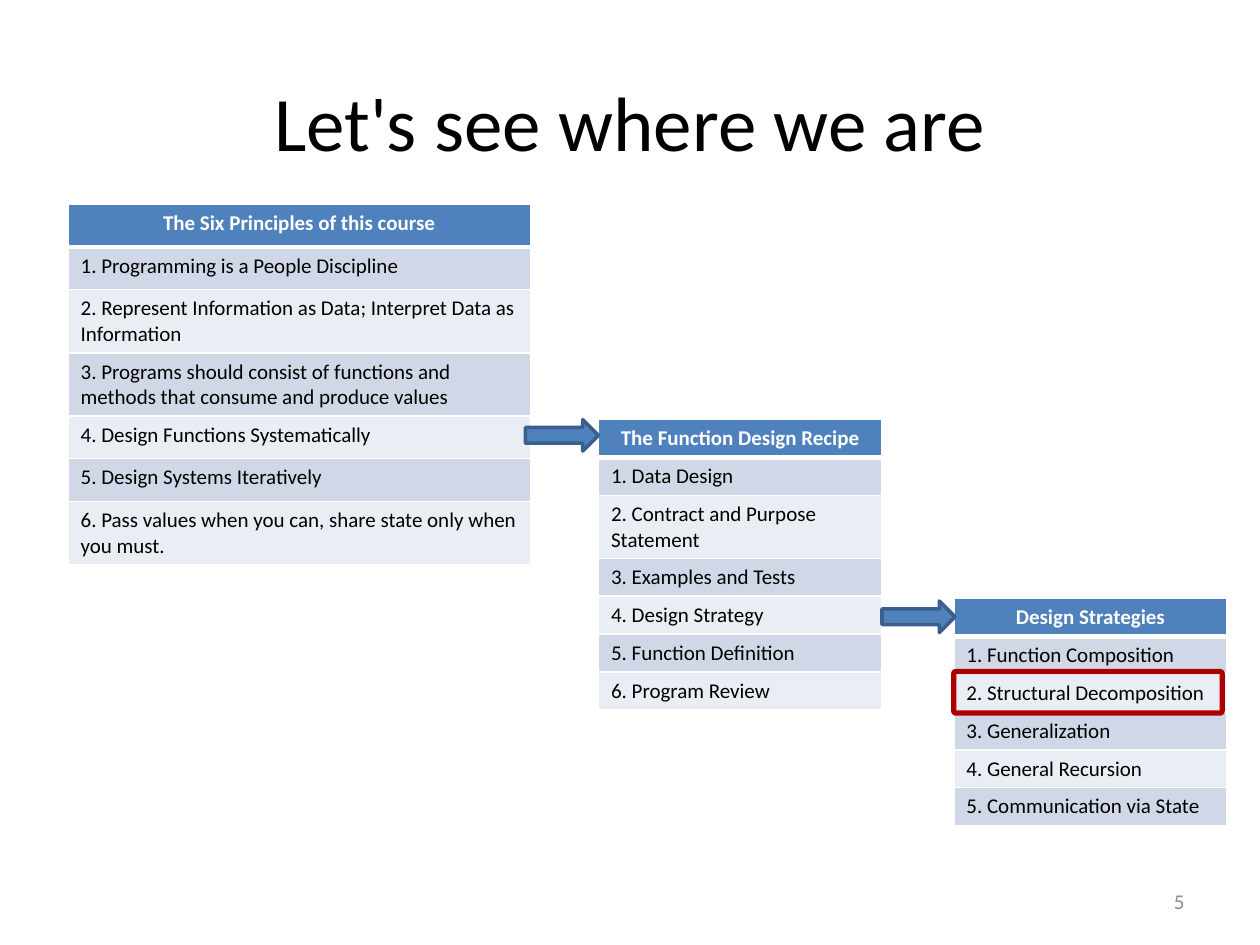
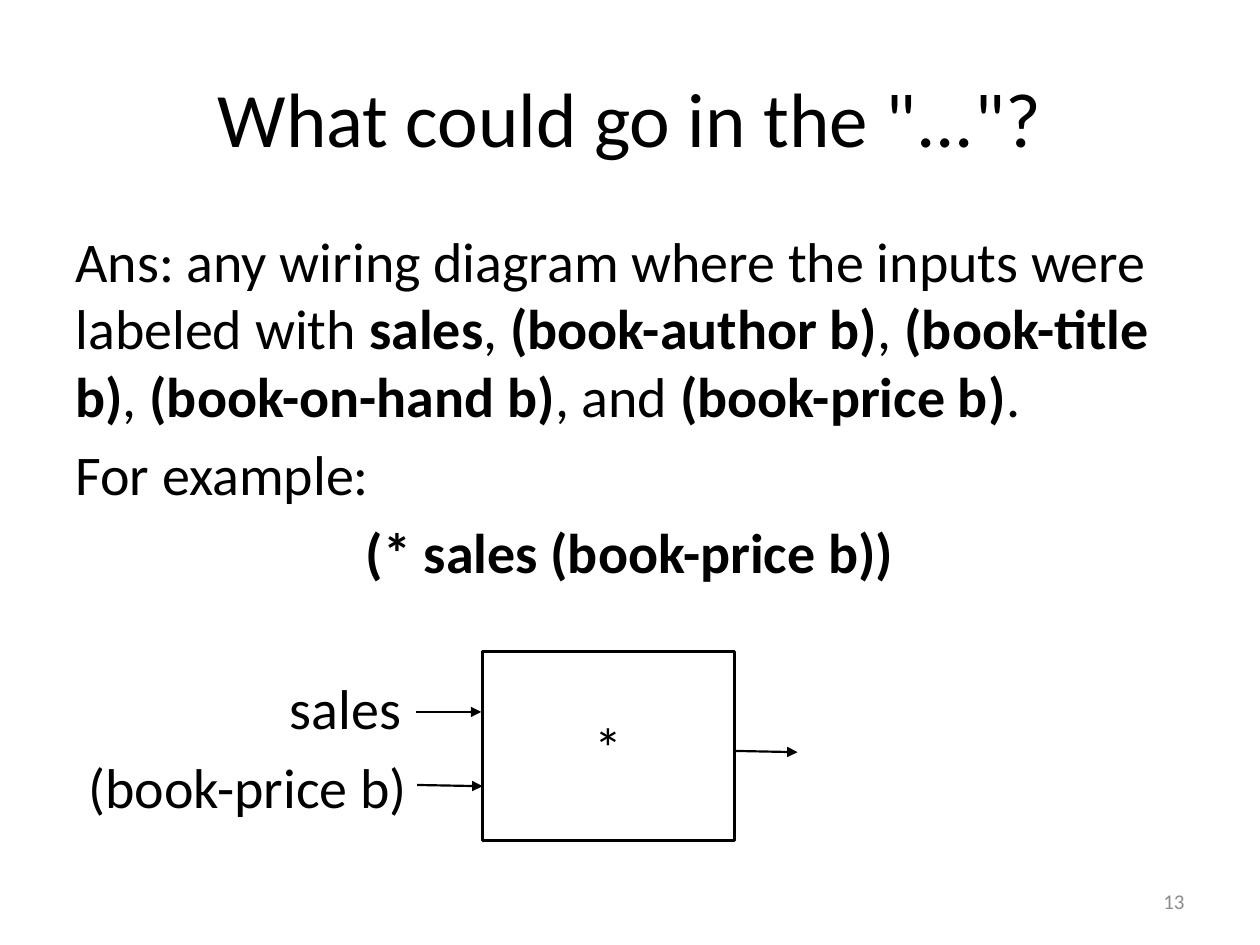
"""Build two course slides: a roadmap of linked tables and a wiring diagram."""
from dataclasses import dataclass

import pptx
import pptx.dml.color
import pptx.enum.shapes
import pptx.enum.text
import pptx.oxml
import pptx.oxml.ns
import pptx.util

Inches = pptx.util.Inches
Pt = pptx.util.Pt
Shape = pptx.enum.shapes.MSO_SHAPE
Align = pptx.enum.text.PP_ALIGN
Anchor = pptx.enum.text.MSO_ANCHOR


@dataclass(frozen=True)
class Theme:
    """Colours, font and type sizes shared by the slides."""
    font: str = "Calibri"
    ink: str = "000000"
    paper: str = "FFFFFF"
    accent: str = "4F81BD"
    accent_edge: str = "3A5F8C"
    band_dark: str = "D0D8E8"
    band_light: str = "E9EDF4"
    highlight: str = "AC0000"
    muted: str = "8C8C8C"
    title_size: float = 44
    body_size: float = 32
    small_size: float = 12


THEME = Theme()


@dataclass(frozen=True)
class Box:
    """A rectangle in inches."""
    left: float
    top: float
    width: float
    height: float

    def lengths(self) -> tuple:
        """Return left, top, width and height as lengths."""
        return tuple(map(Inches, (self.left, self.top, self.width, self.height)))


@dataclass(frozen=True)
class Span:
    """A stretch of text in one weight."""
    text: str
    bold: bool = False


@dataclass(frozen=True)
class Para:
    """A paragraph of spans."""
    spans: tuple
    align: Align = Align.LEFT
    space_before: float = 0


@dataclass(frozen=True)
class Topic:
    """A one-column table: a heading, then numbered items."""
    left: float
    top: float
    width: float
    heading: str
    items: tuple
    row_heights: tuple


@dataclass(frozen=True)
class Wire:
    """An arrow of the wiring diagram, from start to end."""
    start: tuple
    end: tuple


def rgb(color: str):
    """Turn a hex string into a colour."""
    return pptx.dml.color.RGBColor.from_string(color)


def apply_format(target, values: dict) -> None:
    """Set each attribute in values on the target."""
    for name, value in values.items():
        setattr(target, name, value)


def write(frame, paras: tuple, size: float, color: str = THEME.ink) -> None:
    """Fill a text frame with paragraphs."""
    for index, para in enumerate(paras):
        paragraph = frame.add_paragraph() if index else frame.paragraphs[0]
        apply_format(paragraph, {"alignment": para.align,
                                 "space_before": Pt(para.space_before)})
        for span in para.spans:
            run = paragraph.add_run()
            run.text = span.text
            apply_format(run.font, {"name": THEME.font, "size": Pt(size),
                                    "bold": span.bold})
            run.font.color.rgb = rgb(color)


def add_text(page, box: Box, paras: tuple, size: float, color: str = THEME.ink,
             anchor: Anchor = Anchor.TOP, wrap: bool = True) -> None:
    """Add a text box."""
    frame = page.shapes.add_textbox(*box.lengths()).text_frame
    apply_format(frame, {"word_wrap": wrap, "vertical_anchor": anchor})
    write(frame, paras, size, color)


def add_page(deck, title: str, title_top: float, number: int):
    """Add a blank page with its title and page number."""
    page = deck.slides.add_slide(deck.slide_layouts[6])
    add_text(page, Box(0.5, title_top, 9, 1.25), (Para((Span(title),), Align.CENTER),),
             THEME.title_size, anchor=Anchor.MIDDLE)
    add_text(page, Box(7.17, 6.95, 2.33, 0.4),
             (Para((Span(str(number)),), Align.RIGHT),),
             THEME.small_size, THEME.muted, Anchor.MIDDLE)
    return page


def add_shape(page, kind: Shape, box: Box, fill: str, edge: str, weight: float):
    """Add a flat outlined shape; an empty fill leaves it hollow."""
    shape = page.shapes.add_shape(kind, *box.lengths())
    shape.shadow.inherit = False
    if fill:
        shape.fill.solid()
        shape.fill.fore_color.rgb = rgb(fill)
    else:
        shape.fill.background()
    shape.line.color.rgb = rgb(edge)
    shape.line.width = Pt(weight)
    return shape


def set_border(cell, side: str, weight: float) -> None:
    """Draw a white border on one side of a cell."""
    cell._tc.get_or_add_tcPr().append(pptx.oxml.parse_xml(
        f'<a:ln{side} {pptx.oxml.ns.nsdecls("a")} w="{Pt(weight)}"><a:solidFill>'
        f'<a:srgbClr val="{THEME.paper}"/></a:solidFill></a:ln{side}>'))


def add_topic(page, topic: Topic) -> None:
    """Add a topic table with a heading row and banded items."""
    box = Box(topic.left, topic.top, topic.width, sum(topic.row_heights))
    texts = (topic.heading, *topic.items)
    table = page.shapes.add_table(len(texts), 1, *box.lengths()).table
    for index, (text, height) in enumerate(zip(texts, topic.row_heights)):
        heading = index == 0
        table.rows[index].height = Inches(height)
        cell = table.cell(index, 0)
        borders = {"L": 1, "R": 1, "T": 1, "B": 3} if heading else {"L": 1, "R": 1, "B": 1}
        for side, weight in borders.items():
            set_border(cell, side, weight)
        band = THEME.band_dark if index % 2 else THEME.band_light
        cell.fill.solid()
        cell.fill.fore_color.rgb = rgb(THEME.accent if heading else band)
        write(cell.text_frame,
              (Para((Span(text, heading),), Align.CENTER if heading else Align.LEFT),),
              THEME.small_size, THEME.paper if heading else THEME.ink)


def add_wire(page, wire: Wire) -> None:
    """Add a thin line that ends in an arrowhead."""
    line = page.shapes.add_connector(pptx.enum.shapes.MSO_CONNECTOR.STRAIGHT,
                                     *map(Inches, wire.start + wire.end))
    line.line.color.rgb = rgb(THEME.ink)
    line.line.width = Pt(1.25)
    namespace = pptx.oxml.ns.nsdecls("a")
    line.line._get_or_add_ln().append(
        pptx.oxml.parse_xml(f'<a:tailEnd {namespace} type="triangle"/>'))
    line._element.spPr.append(pptx.oxml.parse_xml(f"<a:effectLst {namespace}/>"))


TOPICS = (
    Topic(0.54, 1.62, 3.67, "The Six Principles of this course", (
        "1. Programming is a People Discipline",
        "2. Represent Information as Data; Interpret Data as Information",
        "3. Programs should consist of functions and methods that consume "
        "and produce values",
        "4. Design Functions Systematically",
        "5. Design Systems Iteratively",
        "6. Pass values when you can, share state only when you must.",
    ), (0.34, 0.34, 0.41, 0.42, 0.34, 0.34, 0.41)),
    Topic(4.75, 3.33, 2.25, "The Function Design Recipe", (
        "1. Data Design",
        "2. Contract and Purpose Statement",
        "3. Examples and Tests",
        "4. Design Strategy",
        "5. Function Definition",
        "6. Program Review",
    ), (0.29, 0.29, 0.31) + (0.29,) * 4),
    Topic(7.57, 4.75, 2.17, "Design Strategies", (
        "1. Function Composition",
        "2. Structural Decomposition",
        "3. Generalization",
        "4. General Recursion",
        "5. Communication via State",
    ), (0.3,) + (0.25,) * 5),
)

WIRES = (
    Wire((5.84, 5.96), (6.33, 5.97)),
    Wire((3.31, 6.23), (3.83, 6.24)),
    Wire((3.3, 5.65), (3.82, 5.65)),
)

ANSWER = (
    Para((
        Span("Ans: any wiring diagram where the inputs were labeled with "),
        Span("sales", True), Span(","),
        Span(" (book-author b)", True), Span(","),
        Span(" (book-title b)", True), Span(","),
        Span(" (book-on-hand b)", True), Span(", and"),
        Span(" (book-price b)", True), Span("."),
    ), space_before=6.4),
    Para((Span("For example:"),), space_before=6.4),
    Para((Span("(* sales (book-price b))", True),), Align.CENTER, 6.4),
)


def build_roadmap(deck) -> None:
    """Show the three topic tables, linked by arrows."""
    page = add_page(deck, "Let's see where we are", 0.33, 5)
    for topic in TOPICS:
        add_topic(page, topic)
    for left, top in ((4.17, 3.33), (7, 4.77)):
        add_shape(page, Shape.RIGHT_ARROW, Box(left, top, 0.58, 0.25),
                  THEME.accent, THEME.accent_edge, 2)
    marker = add_shape(page, Shape.ROUNDED_RECTANGLE, Box(7.57, 5.33, 2.13, 0.33),
                       "", THEME.highlight, 3)
    marker.adjustments[0] = 0.05


def build_wiring(deck) -> None:
    """Show the answer and its wiring diagram."""
    page = add_page(deck, 'What could go in the "..."?', 0.3, 13)
    add_text(page, Box(0.5, 1.75, 9, 4.95), ANSWER, THEME.body_size)
    block = add_shape(page, Shape.RECTANGLE, Box(3.83, 5.17, 2, 1.5),
                      THEME.paper, THEME.ink, 2)
    block.text_frame.vertical_anchor = Anchor.MIDDLE
    write(block.text_frame, (Para((Span("*"),), Align.CENTER),), THEME.body_size)
    for wire in WIRES:
        add_wire(page, wire)
    for label, box, align in (
        ("(book-price b)", Box(0.56, 5.92, 2.77, 0.64), Align.RIGHT),
        ("sales", Box(2.2, 5.3, 1.09, 0.64), Align.LEFT),
    ):
        add_text(page, box, (Para((Span(label),), align),), THEME.body_size, wrap=False)


def main() -> None:
    """Build and save the deck."""
    deck = pptx.Presentation()
    deck.slide_width, deck.slide_height = Inches(10), Inches(7.5)
    build_roadmap(deck)
    build_wiring(deck)
    deck.save("out.pptx")


main()
